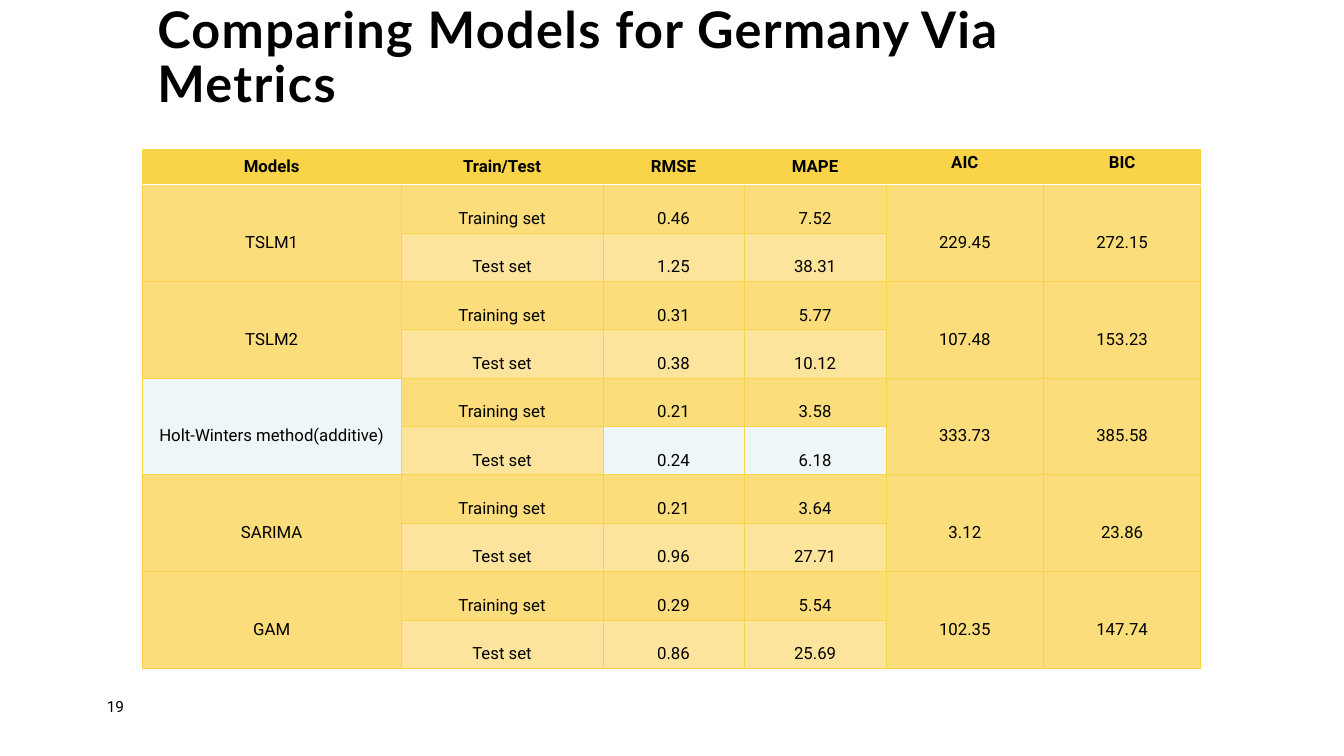
from lxml import etree
from pptx import Presentation
from pptx.dml.color import RGBColor
from pptx.enum.text import MSO_ANCHOR, PP_ALIGN
from pptx.oxml.ns import qn
from pptx.util import Inches, Pt

TOP, MIDDLE, BOTTOM = MSO_ANCHOR.TOP, MSO_ANCHOR.MIDDLE, MSO_ANCHOR.BOTTOM
LEFT, CENTER = PP_ALIGN.LEFT, PP_ALIGN.CENTER

TITLE = "Comparing Models for Germany Via Metrics"
PAGE = "19"
HEADS = ["Models", "Train/Test", "RMSE", "MAPE", "AIC", "BIC"]
SETS = ["Training set", "Test set"]
MODELS = [
    ("TSLM1", ("0.46", "7.52"), ("1.25", "38.31"), "229.45", "272.15"),
    ("TSLM2", ("0.31", "5.77"), ("0.38", "10.12"), "107.48", "153.23"),
    ("Holt-Winters method(additive)", ("0.21", "3.58"), ("0.24", "6.18"), "333.73", "385.58"),
    ("SARIMA", ("0.21", "3.64"), ("0.96", "27.71"), "3.12", "23.86"),
    ("GAM", ("0.29", "5.54"), ("0.86", "25.69"), "102.35", "147.74"),
]
BEST = {(5, 0), (6, 2), (6, 3)}
MERGED = (0, 4, 5)
COLORS = {"head": "F9D448", "train": "FCDD7B", "test": "FDE49C",
          "best": "EEF6F8", "text": "000000", "rule": "FFFFFF"}
COLS = [2.57, 2, 1.4, 1.41, 1.56, 1.56]
HEAD_H, ROW_H = 0.35, 0.47
HEAD = {"name": "Roboto", "size": Pt(12), "bold": True}
BODY = {**HEAD, "bold": False}
NOTE = {**BODY, "size": Pt(11)}
BIG = {"name": "Lato", "size": Pt(36), "bold": True}


def write(frame, text, font, align, **gaps):
    para = frame.paragraphs[0]
    for key, val in {"alignment": align, **gaps}.items():
        setattr(para, key, val)
    run = para.add_run()
    run.text = text
    for key, val in font.items():
        setattr(run.font, key, val)
    run.font.color.rgb = RGBColor.from_string(COLORS["text"])
    return run


def add_text(slide, box, text, font, anchor, **gaps):
    frame = slide.shapes.add_textbox(*map(Inches, box)).text_frame
    form = {"word_wrap": True, "vertical_anchor": anchor, "margin_left": 0,
            "margin_right": 0, "margin_top": 0, "margin_bottom": 0}
    for key, val in form.items():
        setattr(frame, key, val)
    return write(frame, text, font, LEFT, **gaps)


def add_edges(cell, row):
    props = cell._tc.get_or_add_tcPr()
    for i, side in enumerate("LRTB"):
        rule = (row, side) in {(0, "B"), (1, "T")}
        line = etree.Element(qn(f"a:ln{side}"), w=str(Pt(1 if rule else 0.5)))
        fill = etree.SubElement(line, qn("a:solidFill"))
        etree.SubElement(fill, qn("a:srgbClr"), val=COLORS["rule" if rule else "head"])
        props.insert(i, line)


def fill_cell(cell, row, col, text):
    if row == 0:
        tone = "head"
    elif (row, col) in BEST:
        tone = "best"
    else:
        tone = "train" if row % 2 or col in MERGED else "test"
    cell.fill.solid()
    cell.fill.fore_color.rgb = RGBColor.from_string(COLORS[tone])
    form = {"margin_left": Inches(0.08), "margin_right": Inches(0.08),
            "margin_top": Inches(0.04), "margin_bottom": Inches(0.04),
            "vertical_anchor": TOP if row == 0 and col > 3 else MIDDLE}
    for key, val in form.items():
        setattr(cell, key, val)
    add_edges(cell, row)
    if text:
        write(cell.text_frame, text, BODY if row else HEAD, CENTER,
              line_spacing=2.0 if row else 1.0)


def add_grid(slide):
    rows = [HEADS]
    for name, train, test, aic, bic in MODELS:
        rows.append([name, SETS[0], *train, aic, bic])
        rows.append(["", SETS[1], *test, "", ""])
    size = (sum(COLS), HEAD_H + ROW_H * (len(rows) - 1))
    table = slide.shapes.add_table(len(rows), len(COLS), *map(Inches, (1.41, 1.48, *size))).table
    for col, wide in zip(table.columns, COLS):
        col.width = Inches(wide)
    for r, texts in enumerate(rows):
        table.rows[r].height = Inches(ROW_H if r else HEAD_H)
        for c, text in enumerate(texts):
            fill_cell(table.cell(r, c), r, c, text)
    for r in range(1, len(rows), 2):
        for c in MERGED:
            table.cell(r, c).merge(table.cell(r + 1, c))


def main():
    deck = Presentation()
    deck.slide_width, deck.slide_height = Inches(13.33), Inches(7.5)
    slide = deck.slides.add_slide(deck.slide_layouts[6])
    title = add_text(slide, (1.56, 0.46, 10.15, 0.67), TITLE, BIG, BOTTOM, line_spacing=0.9)
    title._r.get_or_add_rPr().set("spc", "100")
    add_text(slide, (1.06, 6.92, 0.57, 0.27), PAGE, NOTE, TOP, space_after=Pt(6))
    add_grid(slide)
    deck.save("out.pptx")


if __name__ == "__main__":
    main()
